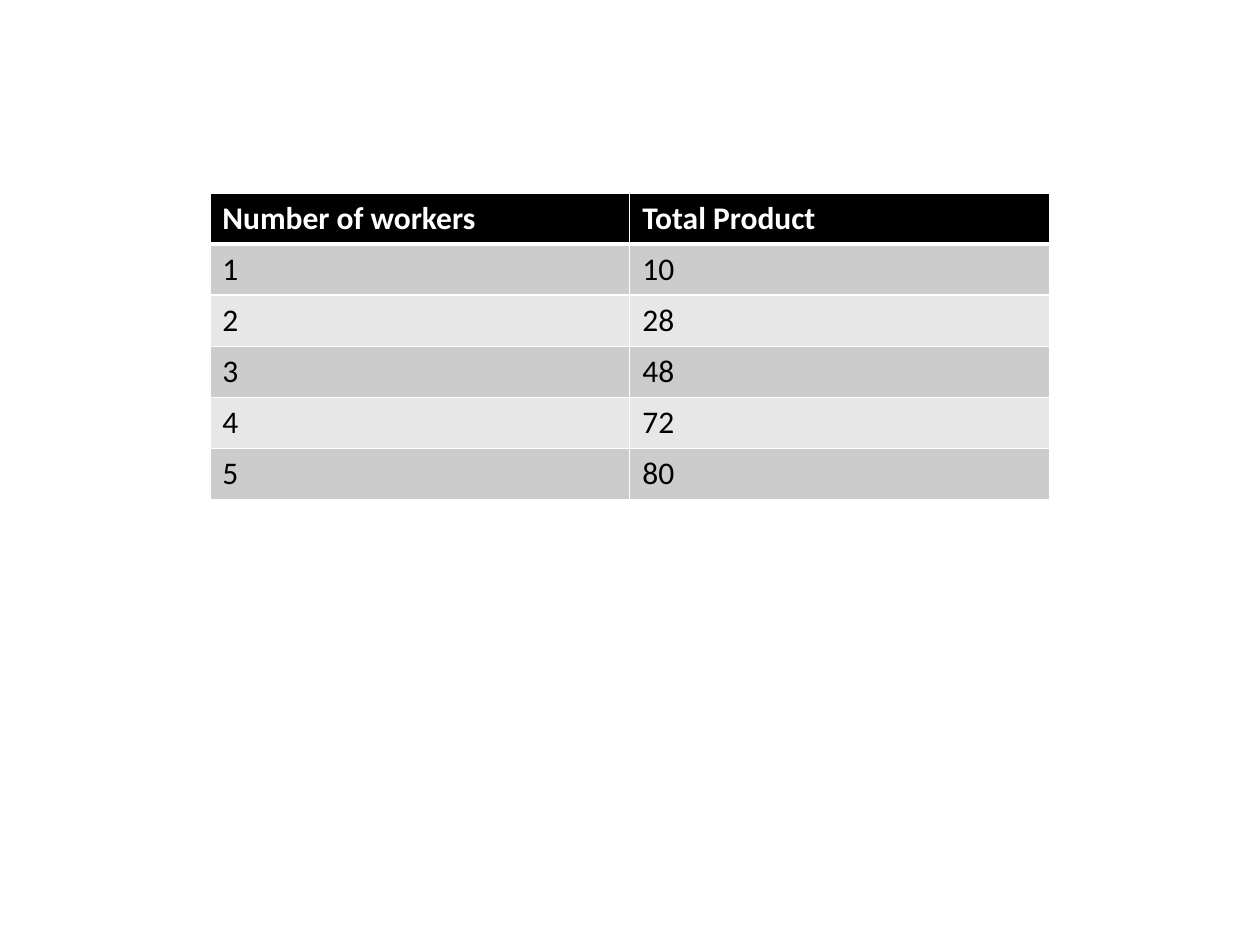
import pptx
import pptx.dml.color
import pptx.oxml
import pptx.oxml.ns
import pptx.util
from pptx.util import Cm

BLACK = pptx.dml.color.RGBColor(0x00, 0x00, 0x00)
WHITE = pptx.dml.color.RGBColor(0xFF, 0xFF, 0xFF)
DARK_BAND = pptx.dml.color.RGBColor(0xCC, 0xCC, 0xCC)
LIGHT_BAND = pptx.dml.color.RGBColor(0xE7, 0xE7, 0xE7)

ROWS = [
    ("Number of workers", "Total Product "),
    ("1", "10"),
    ("2", "28"),
    ("3", "48"),
    ("4", "72"),
    ("5", "80"),
]


def set_borders(cell, color, widths):
    tc_pr = cell._tc.get_or_add_tcPr()
    for side, width in zip("LRTB", widths):
        tc_pr.append(pptx.oxml.parse_xml(
            f'<a:ln{side} {pptx.oxml.ns.nsdecls("a")} w="{pptx.util.Pt(width)}">'
            f'<a:solidFill><a:srgbClr val="{color}"/></a:solidFill></a:ln{side}>'))


def format_cell(cell, text, row):
    header = row == 0
    set_borders(cell, WHITE, (1, 1, 3 if row == 1 else 1, 3 if header else 1))
    cell.fill.solid()
    cell.fill.fore_color.rgb = BLACK if header else DARK_BAND if row % 2 else LIGHT_BAND
    r = cell.text_frame.paragraphs[0].add_run()
    r.text = text
    r.font.name = "Calibri"
    r.font.size = pptx.util.Pt(18)
    r.font.bold = header
    r.font.color.rgb = WHITE if header else BLACK


def add_product_table(s, left, top, width, height):
    tbl = s.shapes.add_table(len(ROWS), len(ROWS[0]), left, top, width, height).table
    for i, values in enumerate(ROWS):
        for j, text in enumerate(values):
            format_cell(tbl.cell(i, j), text, i)


prs = pptx.Presentation()
prs.slide_width, prs.slide_height = Cm(25.4), Cm(19.05)
s = prs.slides.add_slide(prs.slide_layouts[6])
add_product_table(s, Cm(4.23), Cm(3.89), Cm(16.93), Cm(6.18))
prs.save("out.pptx")
